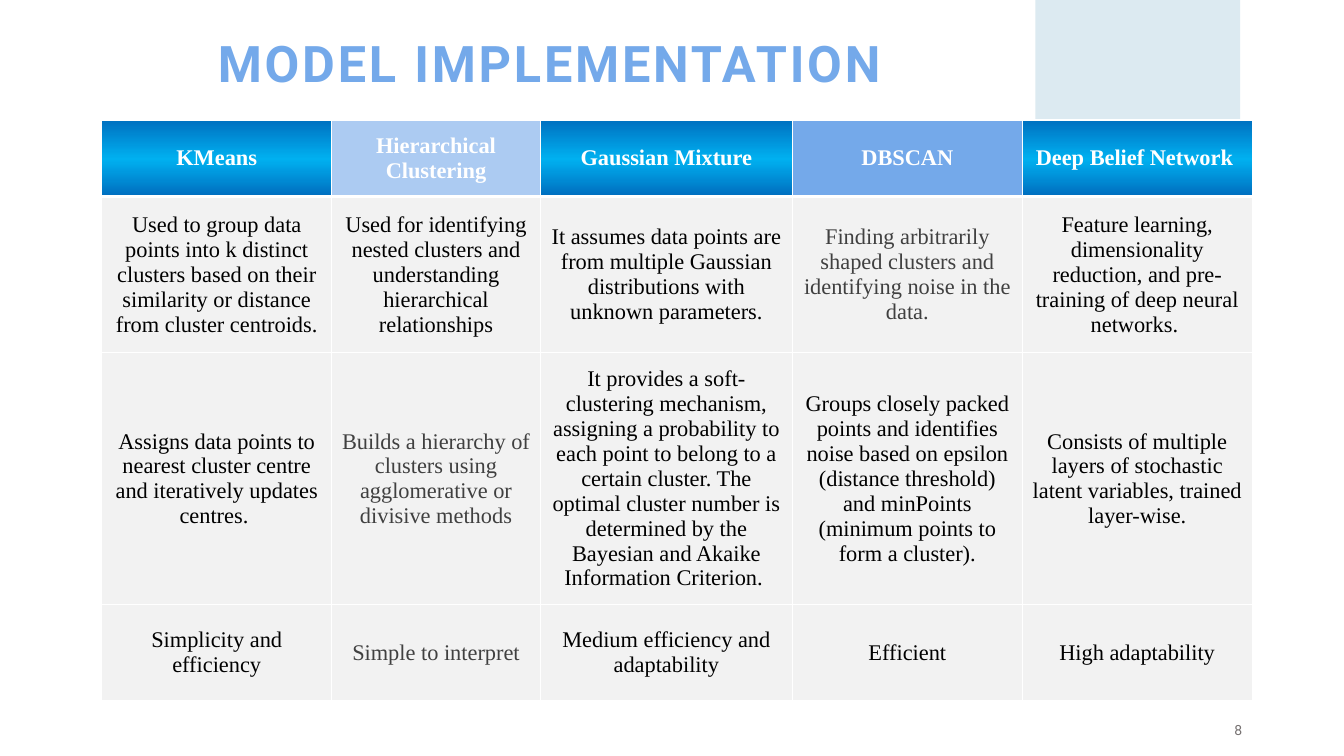
"""Build a slide that compares five clustering models in a table."""
from lxml.etree import SubElement
from pptx import Presentation
from pptx.dml.color import RGBColor
from pptx.enum.shapes import MSO_SHAPE
from pptx.enum.text import MSO_ANCHOR, MSO_AUTO_SIZE, PP_ALIGN
from pptx.oxml import parse_xml
from pptx.oxml.ns import nsdecls, qn
from pptx.util import Inches, Pt

TITLE = "MODEL IMPLEMENTATION"
PAGE = "8"
MODELS = [
    ("KMeans", "bright",
     ["Used to group data points into k distinct clusters based on their similarity or distance from cluster centroids.",
      "Assigns data points to nearest cluster centre and iteratively updates centres. ",
      "Simplicity and efficiency"]),
    ("Hierarchical Clustering", "pale",
     ["Used for identifying nested clusters and understanding hierarchical relationships",
      "Builds a hierarchy of clusters using agglomerative or divisive methods",
      "Simple to interpret"]),
    ("Gaussian Mixture", "bright",
     ["It assumes data points are from multiple Gaussian distributions with unknown parameters.",
      "It provides a soft-clustering mechanism, assigning a probability to each point to belong to a certain cluster. "
      "The optimal cluster number is determined by the Bayesian and Akaike Information Criterion. ",
      "Medium efficiency and adaptability"]),
    ("DBSCAN", "blue",
     ["Finding arbitrarily shaped clusters and identifying noise in the data.",
      "Groups closely packed points and identifies noise based on epsilon (distance threshold) "
      "and minPoints (minimum points to form a cluster).",
      "Efficient"]),
    ("Deep Belief Network  ", "bright",
     ["Feature learning, dimensionality reduction, and pre-training of deep neural networks. ",
      "Consists of multiple layers of stochastic latent variables, trained layer-wise.",
      "High adaptability"]),
]
GREY_CELLS = {(1, 3), (2, 1), (3, 1)}

THEME = {
    "blue": "74A9EA", "pale": "ACCBF2", "band": "DCEAF1", "cell": "F2F2F2",
    "white": "FFFFFF", "black": "000000", "grey": "404040", "page": "767171",
    "bright": [(2, "0070C0"), (49, "00B0F0"), (100, "0070C0")],
    "heading_font": "Roboto", "table_font": "Times New Roman",
    "title_size": 36, "table_size": 16, "page_size": 10,
}
SLIDE = (13.33, 7.5)
BAND = (10.27, 0, 2.03, 4.88)
TITLE_BOX = (2.06, 0.25, 7.81, 0.85)
PAGE_BOX = (9.42, 7.13, 3, 0.22)
TABLE_AT = (1.01, 1.19)
COLS = (2.28, 2.07, 2.5, 2.28, 2.28)
ROWS = (0.76, 1.55, 2.5, 0.95)
HEAD_INSETS = {"margin_left": 0.12, "margin_right": 0.12, "margin_top": 0.06, "margin_bottom": 0.06}


def box(lengths):
    return [Inches(v) for v in lengths]


def write(tf, text, color, font, size, align, bold=False, spacing=0):
    p = tf.paragraphs[0]
    p.alignment = align
    r = p.add_run()
    r.text = text
    for name, value in {"name": font, "size": Pt(size), "bold": bold}.items():
        setattr(r.font, name, value)
    r.font.color.rgb = RGBColor.from_string(THEME[color])
    if spacing:
        r.font._element.set("spc", str(spacing * 100))
    return p


def paint(fill, color):
    fill.solid()
    fill.fore_color.rgb = RGBColor.from_string(THEME[color])


def paint_gradient(tcPr, stops):
    marks = "".join(f'<a:gs pos="{pos * 1000}"><a:srgbClr val="{rgb}"/></a:gs>' for pos, rgb in stops)
    tcPr.append(parse_xml(f'<a:gradFill {nsdecls("a")} rotWithShape="1"><a:gsLst>{marks}</a:gsLst>'
                          '<a:lin ang="16200000" scaled="0"/></a:gradFill>'))


def add_borders(tcPr, bottom):
    for side, width in {"lnL": 1, "lnR": 1, "lnT": 1, "lnB": bottom}.items():
        ln = SubElement(tcPr, qn(f"a:{side}"), w=str(Pt(width)))
        SubElement(SubElement(ln, qn("a:solidFill")), qn("a:srgbClr"), val=THEME["white"])


def fill_cell(cell, text, color, fill, head):
    cell.vertical_anchor = MSO_ANCHOR.MIDDLE
    for name, value in (HEAD_INSETS if head else {}).items():
        setattr(cell, name, Inches(value))
    write(cell.text_frame, text, color, THEME["table_font"], THEME["table_size"], PP_ALIGN.CENTER, head)
    tcPr = cell._tc.get_or_add_tcPr()
    add_borders(tcPr, 3 if head else 1)
    if isinstance(THEME[fill], list):
        paint_gradient(tcPr, THEME[fill])
    else:
        paint(cell.fill, fill)


def add_model_table(s):
    frame = s.shapes.add_table(len(ROWS), len(COLS), *box((*TABLE_AT, sum(COLS), sum(ROWS))))
    table = frame.table
    table.horz_banding = False
    for col, width in zip(table.columns, COLS):
        col.width = Inches(width)
    for row, height in zip(table.rows, ROWS):
        row.height = Inches(height)
    for c, (name, fill, traits) in enumerate(MODELS):
        fill_cell(table.cell(0, c), name, "white", fill, True)
        for r, trait in enumerate(traits, 1):
            color = "grey" if (r, c) in GREY_CELLS else "black"
            fill_cell(table.cell(r, c), trait, color, "cell", False)


def main():
    prs = Presentation()
    prs.slide_width, prs.slide_height = box(SLIDE)
    s = prs.slides.add_slide(prs.slide_layouts[5])

    band = s.shapes.add_shape(MSO_SHAPE.RECTANGLE, *box(BAND))
    band.shadow.inherit = False
    paint(band.fill, "band")
    band.line.fill.background()

    page = s.shapes.add_textbox(*box(PAGE_BOX))
    title = s.shapes.title
    title.left, title.top, title.width, title.height = box(TITLE_BOX)
    for sp in (page, title):
        tf = sp.text_frame
        for name, value in {"word_wrap": True, "auto_size": MSO_AUTO_SIZE.NONE,
                            "vertical_anchor": MSO_ANCHOR.MIDDLE}.items():
            setattr(tf, name, value)
    font = THEME["heading_font"]
    write(page.text_frame, PAGE, "page", font, THEME["page_size"], PP_ALIGN.RIGHT, spacing=1)
    p = write(title.text_frame, TITLE, "blue", font, THEME["title_size"], PP_ALIGN.LEFT, True, 2)
    p.line_spacing = 0.8

    add_model_table(s)
    prs.save("out.pptx")


if __name__ == "__main__":
    main()
